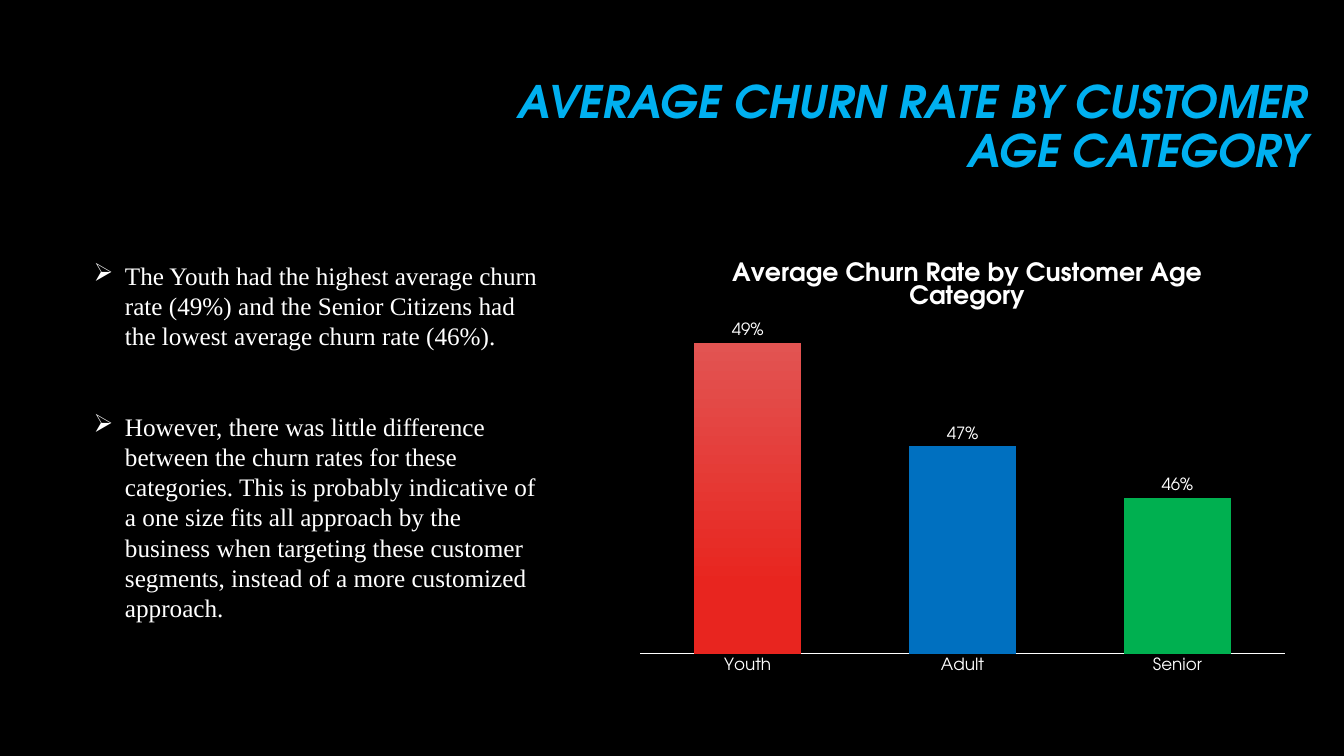
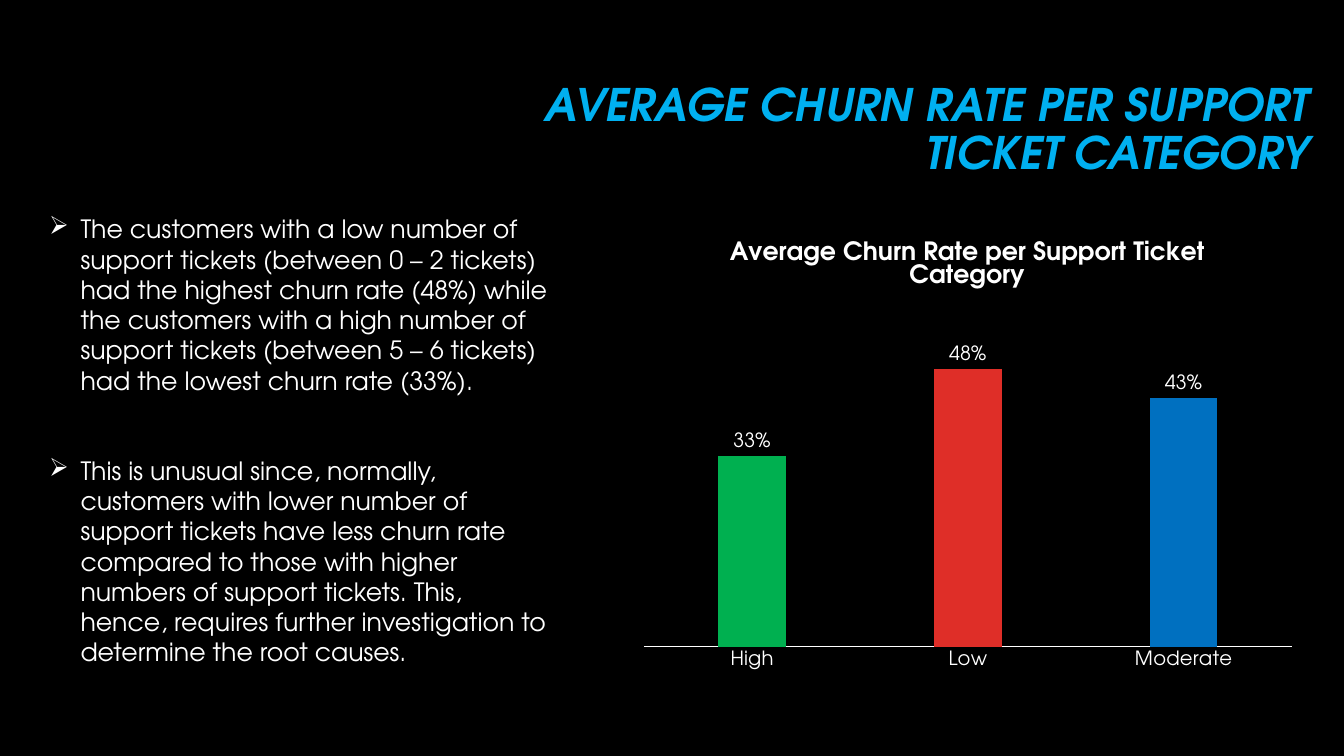
"""Build two slides on churn rates, each with bullet points and a column chart."""
from lxml import etree
from pptx import Presentation
from pptx.chart.data import CategoryChartData
from pptx.dml.color import RGBColor
from pptx.enum.chart import XL_CHART_TYPE, XL_LABEL_POSITION, XL_TICK_MARK
from pptx.enum.text import MSO_ANCHOR, PP_ALIGN
from pptx.oxml.ns import qn
from pptx.util import Cm, Pt

COLUMNS = XL_CHART_TYPE.COLUMN_CLUSTERED
OUTSIDE = XL_LABEL_POSITION.OUTSIDE_END
NO_TICKS = XL_TICK_MARK.NONE
RIGHT = PP_ALIGN.RIGHT
MIDDLE = MSO_ANCHOR.MIDDLE
SANS = "TeX Gyre Adventor"
SERIF = "Times New Roman"
BLACK, WHITE, SKY = "000000", "FFFFFF", "00B0F0"
BLUE, GREEN, RED = "0070C0", "00B050", "DF2E28"
RED_FADE = (("E25452", 0), ("E8251F", 0.78))


def style(font, size, color=WHITE, name=SANS, bold=False, italic=False):
    """Set every property of a font."""
    font.size, font.name, font.bold, font.italic = Pt(size), name, bold, italic
    font.color.rgb = RGBColor.from_string(color)


def set_layout(parent, index, **values):
    """Give a chart part a manual layout, in fractions of the chart."""
    for old in parent.findall(qn("c:layout")):
        parent.remove(old)
    layout = etree.Element(qn("c:layout"))
    manual = etree.SubElement(layout, qn("c:manualLayout"))
    for tag, value in values.items():
        etree.SubElement(manual, qn("c:" + tag)).set("val", str(value))
    parent.insert(index, layout)


SLIDES = [
    {
        "title": "AVERAGE CHURN RATE BY CUSTOMER AGE CATEGORY",
        "title_box": (10.8, 1.9, 22.4, 2.67),
        "points": [
            "The Youth had the highest average churn rate (49%) and the Senior "
            "Citizens had the lowest average churn rate (46%).",
            "However, there was little difference between the churn rates for "
            "these categories. This is probably indicative of a one size fits "
            "all approach by the business when targeting these customer "
            "segments, instead of a more customized approach.",
        ],
        "points_box": (2.11, 6.43, 12.01, 10.26),
        "points_font": SERIF,
        "chart_title": "Average Churn Rate by Customer Age Category",
        "chart_box": (15.8, 5.99, 16.92, 11.15),
        "title_at": (0.15, 0.04),
        "plot_rows": (0.12, 0.82),
        "rates": {"Youth": 0.49, "Adult": 0.47, "Senior": 0.46},
        "fills": [RED_FADE, BLUE, GREEN],
        "scale": (0.43, 0.5),
        "gap": 100, "overlap": -24, "label_size": 12, "axis_width": 1,
    },
    {
        "title": "AVERAGE CHURN RATE PER SUPPORT TICKET CATEGORY",
        "title_box": (12.14, 1.93, 21.11, 2.74),
        "points": [
            "The customers with a low number of support tickets (between 0 – 2 "
            "tickets) had the highest churn rate (48%) while the customers with "
            "a high number of support tickets (between 5 – 6 tickets) had the "
            "lowest churn rate (33%).",
            "This is unusual since, normally, customers with lower number of "
            "support tickets have less churn rate compared to those with higher "
            "numbers of support tickets. This, hence, requires further "
            "investigation to determine the root causes.",
        ],
        "points_box": (0.99, 5.26, 13.16, 11.79),
        "points_font": SANS,
        "chart_title": "Average Churn Rate per Support Ticket Category",
        "chart_box": (15.9, 5.31, 16.99, 11.81),
        "title_at": (0.14, 0.05),
        "plot_rows": (0.19, 0.74),
        "rates": {"High": 0.33, "Low": 0.48, "Moderate": 0.43},
        "fills": [GREEN, RED, BLUE],
        "scale": (0, 0.6),
        "gap": 219, "overlap": -27, "label_size": 14, "axis_width": 0.75,
    },
]

deck = Presentation()
deck.slide_width, deck.slide_height = Cm(33.87), Cm(19.05)
background = deck.slide_master.background.fill
background.solid()
background.fore_color.rgb = RGBColor.from_string(BLACK)

for content in SLIDES:
    page = deck.slides.add_slide(deck.slide_layouts[6])

    box = page.shapes.add_textbox(*map(Cm, content["title_box"]))
    box.text_frame.word_wrap = True
    box.text_frame.vertical_anchor = MIDDLE
    box.text_frame.text = content["title"]
    para = box.text_frame.paragraphs[0]
    para.alignment, para.line_spacing = RIGHT, 0.9
    style(para.runs[0].font, 32, SKY, bold=True, italic=True)

    frame = page.shapes.add_chart
    data = CategoryChartData(number_format="0%")
    data.categories = list(content["rates"])
    data.add_series("Series 1", list(content["rates"].values()))
    chart = frame(COLUMNS, *map(Cm, content["chart_box"]), data).chart
    style(chart.font, 10)
    chart.has_legend = False
    chart.has_title = True
    heading = chart.chart_title
    heading.text_frame.text = content["chart_title"]
    style(heading.text_frame.paragraphs[0].runs[0].font, 18, bold=True)
    heading.include_in_layout = False
    left, top = content["title_at"]
    set_layout(heading._element, 1, xMode="edge", yMode="edge", x=left, y=top)
    top, height = content["plot_rows"]
    set_layout(chart._chartSpace.chart.plotArea, 0, layoutTarget="inner",
               xMode="edge", yMode="edge", x=0.02, y=top, w=0.96, h=height)

    rate_axis = chart.value_axis
    rate_axis.minimum_scale, rate_axis.maximum_scale = content["scale"]
    rate_axis.has_major_gridlines = False
    rate_axis.visible = False
    category_axis = chart.category_axis
    category_axis.major_tick_mark = NO_TICKS
    category_axis.format.line.width = Pt(content["axis_width"])
    category_axis.format.line.color.rgb = RGBColor.from_string(WHITE)
    style(category_axis.tick_labels.font, content["label_size"])

    plot = chart.plots[0]
    plot.vary_by_categories = False
    plot.gap_width, plot.overlap = content["gap"], content["overlap"]
    plot.has_data_labels = True
    labels = plot.data_labels
    labels.show_value, labels.position = True, OUTSIDE
    labels.number_format, labels.number_format_is_linked = "0%", False
    style(labels.font, content["label_size"])
    for index, paint in enumerate(content["fills"]):
        fill = plot.series[0].points[index].format.fill
        if isinstance(paint, str):
            fill.solid()
            fill.fore_color.rgb = RGBColor.from_string(paint)
        else:
            fill.gradient()
            fill.gradient_angle = 270
            for stop, (color, position) in zip(fill.gradient_stops, paint):
                stop.color.rgb = RGBColor.from_string(color)
                stop.position = position

    box = page.shapes.add_textbox(*map(Cm, content["points_box"]))
    box.text_frame.word_wrap = True
    box.text_frame.text = "\n".join(content["points"])
    for index, para in enumerate(box.text_frame.paragraphs):
        para.line_spacing = Pt(21.6)
        para.space_before = Pt(43 * index)
        style(para.runs[0].font, 18, name=content["points_font"])
        properties = para._p.get_or_add_pPr()
        properties.set("marL", str(Cm(0.79)))
        properties.set("indent", str(Cm(-0.79)))
        etree.SubElement(properties, qn("a:buChar")).set("char", "➢")

deck.save("out.pptx")
